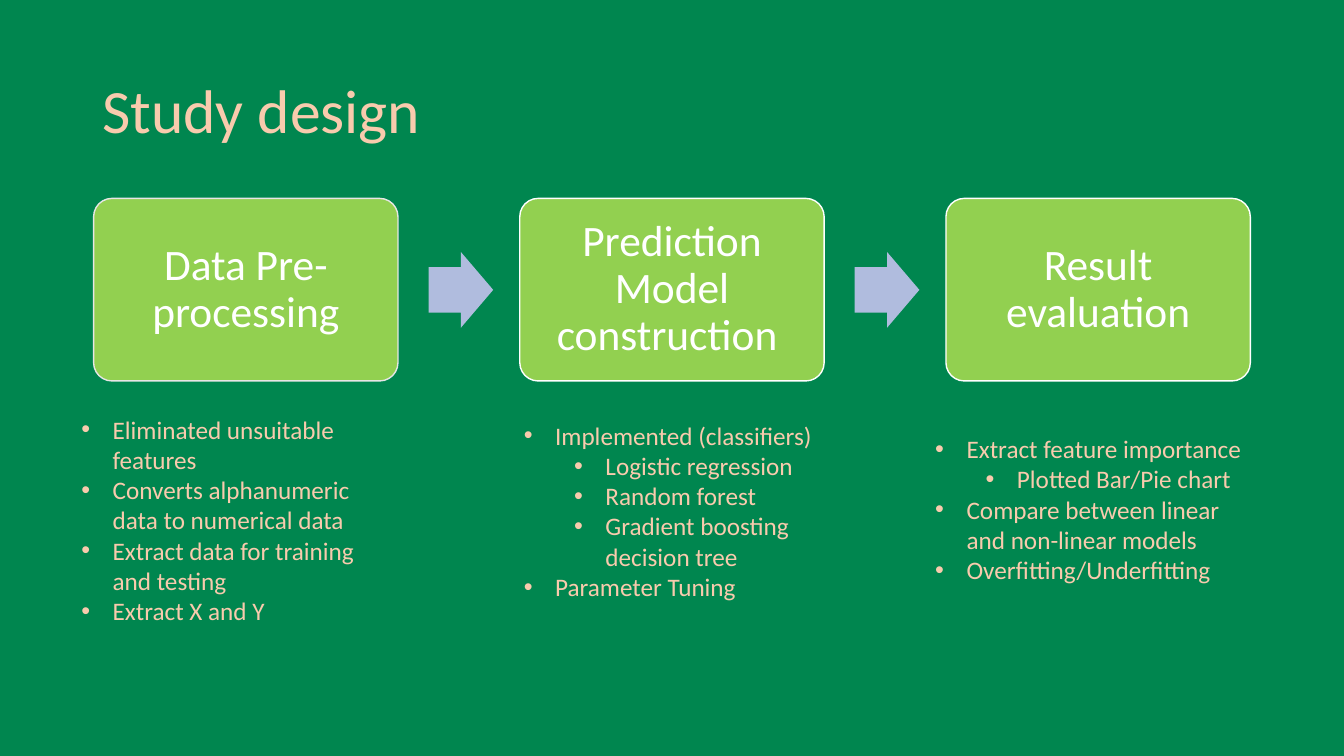
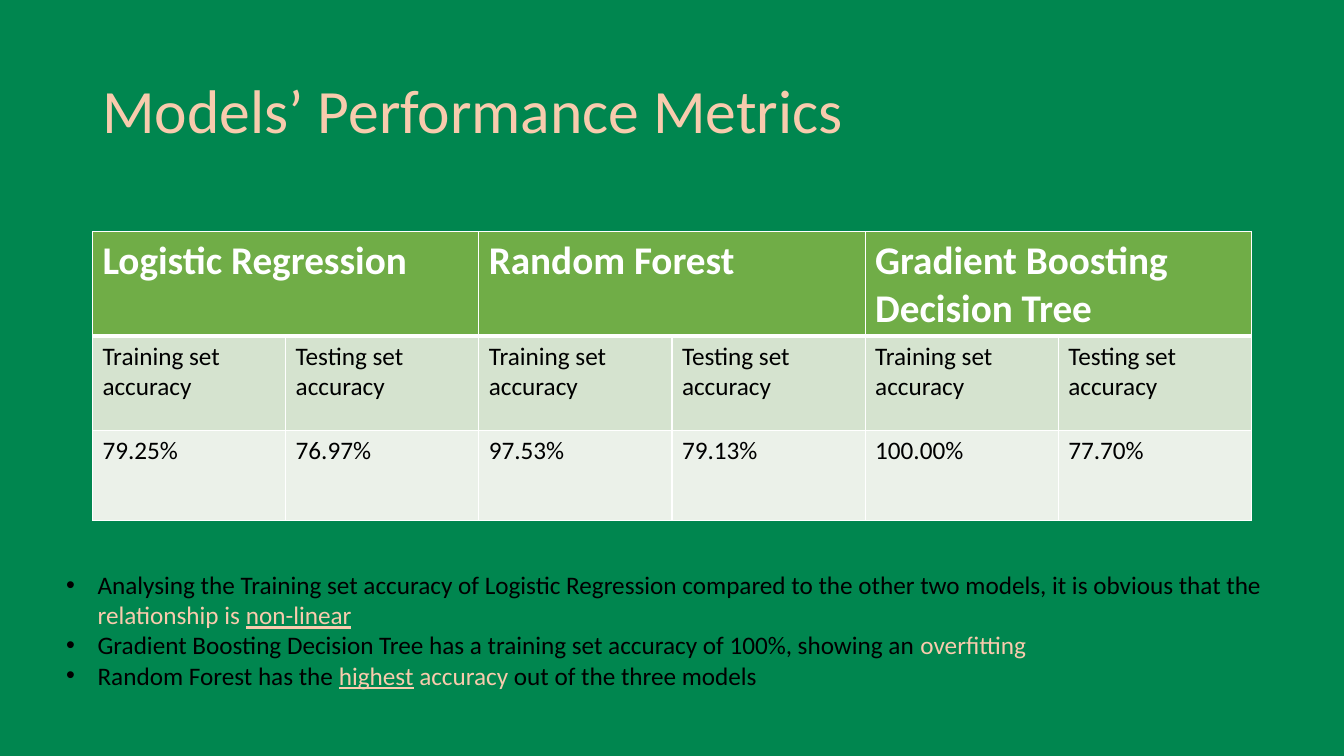
from dataclasses import dataclass
from lxml.etree import SubElement as Sub
from pptx import Presentation
from pptx.dml.color import RGBColor as Rgb
from pptx.enum.shapes import MSO_SHAPE as Form
from pptx.enum.text import MSO_ANCHOR as Anchor, MSO_AUTO_SIZE as Fit, PP_ALIGN as Align
from pptx.oxml.ns import qn
from pptx.util import Cm, Pt


@dataclass(frozen=True)
class Theme:
    font: str = "Calibri"
    ground: str = "00864F"
    peach: str = "F8CBAD"
    white: str = "FFFFFF"
    black: str = "000000"
    lime: str = "92D050"
    edge: str = "E7E6E6"
    arrow: str = "B0BCDE"
    head: str = "70AD47"
    bands: tuple = ("D5E3CF", "EBF1E9")
    title: int = 44
    step: int = 31
    label: int = 28
    body: int = 18


class Deck:
    def __init__(self, theme):
        self.theme = theme
        self.show = Presentation()
        self.show.slide_width, self.show.slide_height = Cm(33.87), Cm(19.05)
        self.slide = None

    def page(self, title):
        self.slide = self.show.slides.add_slide(self.show.slide_layouts[6])
        fill = self.slide.background.fill
        fill.solid()
        fill.fore_color.rgb = Rgb.from_string(self.theme.ground)
        frame = self.box(2.33, 1.02, 29.21, 3.68)
        frame.vertical_anchor = Anchor.MIDDLE
        para = frame.paragraphs[0]
        para.line_spacing = 0.9
        self.run(para, title, self.theme.title, self.theme.peach)

    def box(self, left, top, width, height):
        frame = self.slide.shapes.add_textbox(Cm(left), Cm(top), Cm(width), Cm(height)).text_frame
        frame.word_wrap = True
        return frame

    def run(self, para, text, size, color, bold=False, under=False):
        run = para.add_run()
        run.text = text
        font = run.font
        font.name, font.size, font.bold = self.theme.font, Pt(size), bold
        font.underline = under
        font.color.rgb = Rgb.from_string(color)

    def shape(self, form, left, top, width, height, color, line=None):
        shape = self.slide.shapes.add_shape(form, Cm(left), Cm(top), Cm(width), Cm(height))
        shape.shadow.inherit = False
        shape.fill.solid()
        shape.fill.fore_color.rgb = Rgb.from_string(color)
        if line:
            shape.line.color.rgb = Rgb.from_string(line)
            shape.line.width = Pt(1)
        else:
            shape.line.fill.background()
        return shape

    def step(self, left, text, line):
        shape = self.shape(Form.ROUNDED_RECTANGLE, left, 5, 7.67, 4.6, self.theme.lime, line)
        shape.adjustments[0] = 0.1
        frame = shape.text_frame
        frame.word_wrap = True
        frame.vertical_anchor = Anchor.MIDDLE
        frame.margin_left = frame.margin_right = Cm(0.33)
        frame.margin_top = frame.margin_bottom = Cm(0.33)
        para = frame.paragraphs[0]
        para.alignment, para.line_spacing = Align.CENTER, 0.9
        self.run(para, text, self.theme.step, self.theme.white)

    def arrow(self, left):
        shape = self.shape(Form.RIGHT_ARROW, left, 6.35, 1.63, 1.91, self.theme.arrow)
        shape.adjustments[0], shape.adjustments[1] = 0.6, 0.5

    def points(self, left, top, width, height, items):
        frame = self.box(left, top, width, height)
        frame.auto_size = Fit.SHAPE_TO_FIT_TEXT
        for row, (level, runs) in enumerate(items):
            para = frame.add_paragraph() if row else frame.paragraphs[0]
            para.level = level
            props = para._p.get_or_add_pPr()
            props.set("marL", str(Cm(0.79 + 1.27 * level)))
            props.set("indent", str(Cm(-0.79)))
            Sub(props, qn("a:buFont")).set("typeface", "Arial")
            Sub(props, qn("a:buChar")).set("char", "•")
            for text, color, under in runs:
                self.run(para, text, self.theme.body, color, under=under)

    def edges(self, cell, row):
        props = cell._tc.get_or_add_tcPr()
        thick = {0: "lnB", 1: "lnT"}.get(row)
        for side in ("lnL", "lnR", "lnT", "lnB"):
            line = Sub(props, qn("a:" + side))
            line.set("w", str(Pt(3 if side == thick else 1)))
            Sub(Sub(line, qn("a:solidFill")), qn("a:srgbClr")).set("val", self.theme.white)

    def table(self, left, top, width, heights, heads, rows):
        look = self.theme
        count = len(rows[0])
        span = count // len(heads)
        grid = self.slide.shapes.add_table(
            len(heights), count, Cm(left), Cm(top), Cm(width), Cm(sum(heights))).table
        grid.horz_banding = False
        for col in grid.columns:
            col.width = Cm(width / count)
        for row, height in enumerate(heights):
            grid.rows[row].height = Cm(height)
            for col in range(count):
                cell = grid.cell(row, col)
                self.edges(cell, row)
                cell.fill.solid()
                cell.fill.fore_color.rgb = Rgb.from_string(look.bands[row - 1] if row else look.head)
                if row:
                    self.run(cell.text_frame.paragraphs[0], rows[row - 1][col], look.body, look.black)
        for part, text in enumerate(heads):
            cell = grid.cell(0, part * span)
            cell.merge(grid.cell(0, part * span + span - 1))
            self.run(cell.text_frame.paragraphs[0], text, look.label, look.white, True)


theme = Theme()
deck = Deck(theme)

deck.page("Study design")
steps = [
    ("Data Pre-processing", theme.edge, 1.8, 10.31, 5.64, [
        (0, "Eliminated unsuitable features"),
        (0, "Converts alphanumeric data to numerical data"),
        (0, "Extract data for training and testing"),
        (0, "Extract X and Y")]),
    ("Prediction Model construction ", theme.white, 12.95, 10.46, 5.64, [
        (0, "Implemented (classifiers)"),
        (1, "Logistic regression"),
        (1, "Random forest"),
        (1, "Gradient boosting decision tree"),
        (0, "Parameter Tuning")]),
    ("Result evaluation", theme.white, 23.32, 10.8, 4.88, [
        (0, "Extract feature importance"),
        (1, "Plotted Bar/Pie chart"),
        (0, "Compare between linear and non-linear models"),
        (0, "Overfitting/Underfitting")]),
]
pitch = 10.74
for place, (name, line, left, top, height, notes) in enumerate(steps):
    deck.step(2.36 + pitch * place, name, line)
    if place < len(steps) - 1:
        deck.arrow(10.8 + pitch * place)
    deck.points(left, top, 8.41, height,
                [(level, [(text, theme.peach, False)]) for level, text in notes])

deck.page("Models’ Performance Metrics")
deck.table(2.33, 5.84, 29.21, (2.5, 2.38, 2.26),
           ["Logistic Regression", "Random Forest", "Gradient Boosting Decision Tree"],
           [["Training set accuracy", "Testing set accuracy"] * 3,
            ["79.25%", "76.97%", "97.53%", "79.13%", "100.00%", "77.70%"]])
deck.points(1.42, 14.22, 31.17, 3.33, [
    (0, [("Analysing the Training set accuracy of Logistic Regression compared to the other "
          "two models, it is obvious that the ", theme.black, False),
         ("relationship is ", theme.peach, False),
         ("non-linear", theme.peach, True)]),
    (0, [("Gradient Boosting Decision Tree has a training set accuracy of 100%, showing an ",
          theme.black, False),
         ("overfitting", theme.peach, False)]),
    (0, [("Random Forest has the ", theme.black, False),
         ("highest", theme.peach, True),
         (" accuracy ", theme.peach, False),
         ("out of the three models", theme.black, False)]),
])

deck.show.save("out.pptx")
